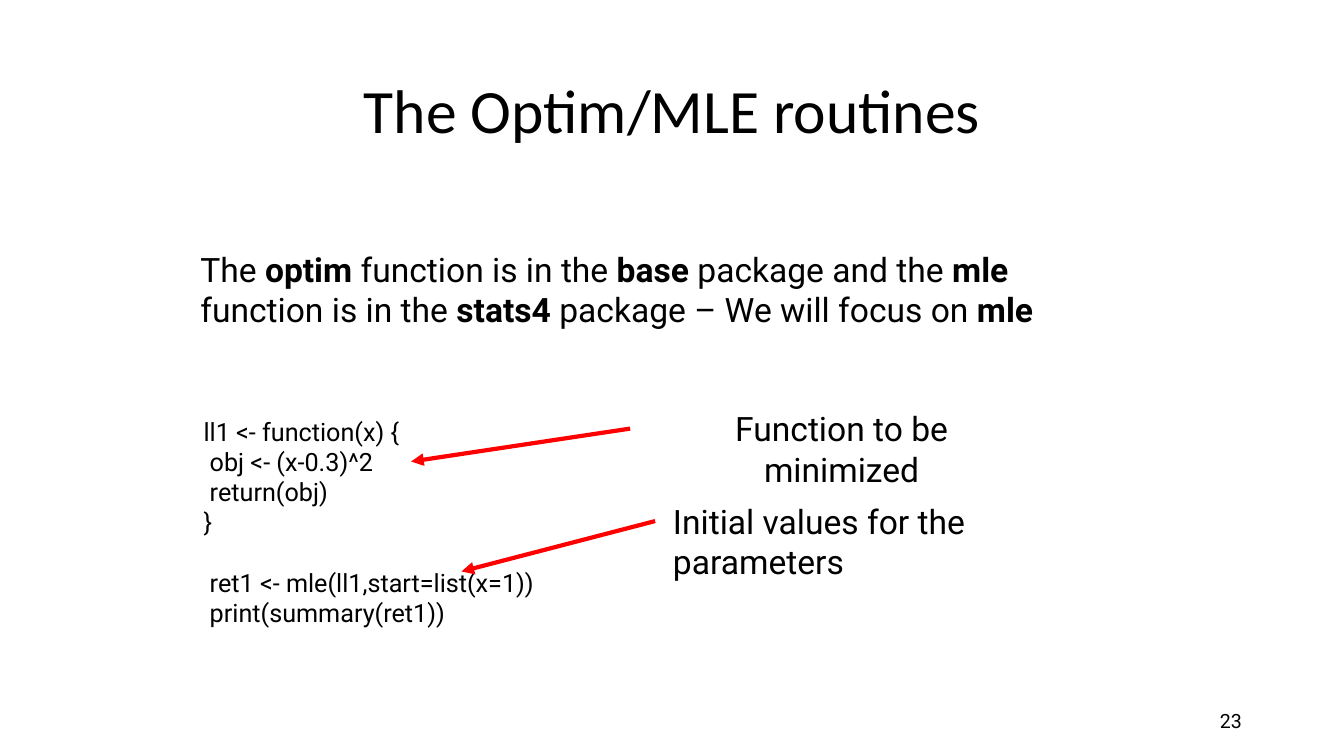
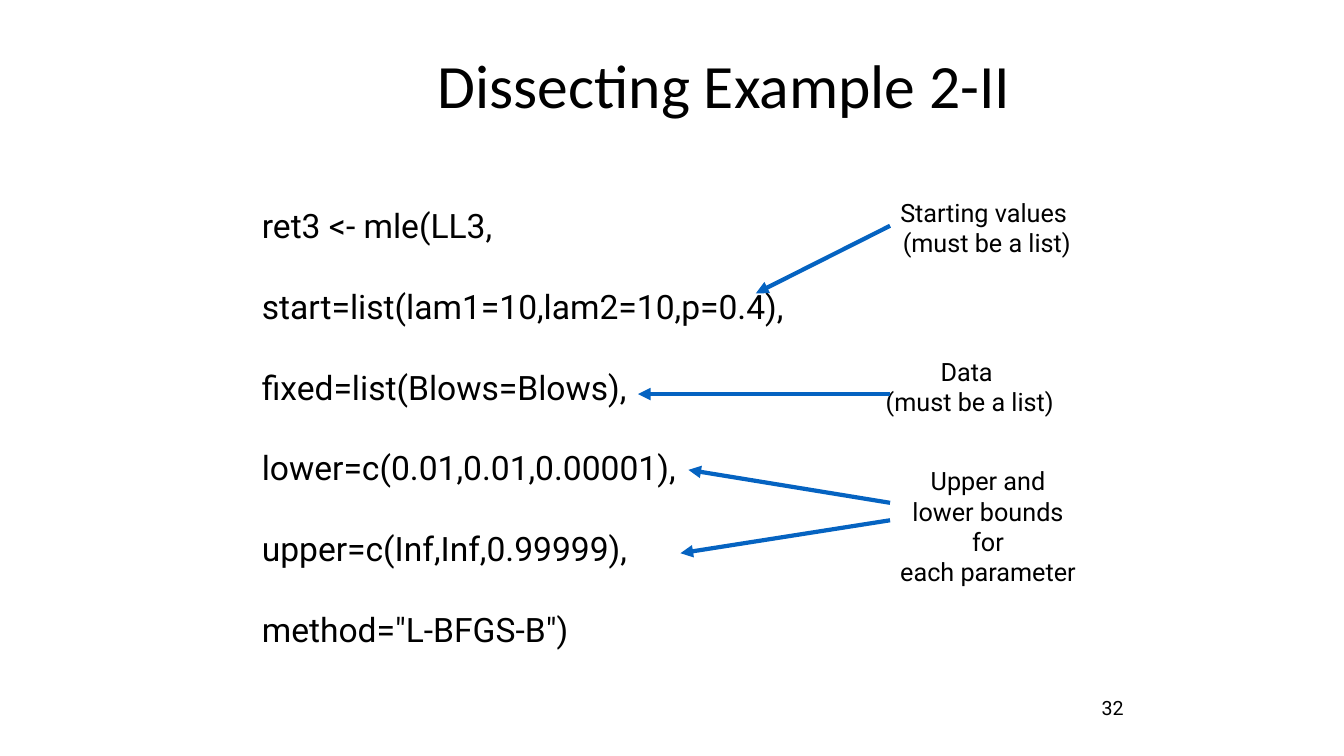
from lxml.etree import SubElement
from pptx import Presentation
from pptx.dml.color import RGBColor
from pptx.enum.shapes import MSO_CONNECTOR
from pptx.enum.text import MSO_ANCHOR, PP_ALIGN
from pptx.oxml.ns import qn
from pptx.util import Cm, Pt


def color(code):
    """Turn a hex string into a colour."""
    return RGBColor.from_string(code)


class Deck:
    """Holds the shared style and the current slide."""

    HEAD, BODY, INK = "Calibri", "Roboto", "000000"
    LEFT, MID, RIGHT = PP_ALIGN.LEFT, PP_ALIGN.CENTER, PP_ALIGN.RIGHT

    def __init__(self):
        """Start an empty wide deck."""
        self.prs = Presentation()
        self.prs.slide_width, self.prs.slide_height = Cm(33.87), Cm(19.05)

    def start(self, title, place, number, corner):
        """Add a slide with its title and number."""
        self.slide = self.prs.slides.add_slide(self.prs.slide_layouts[6])
        self.text(place, [title], 44, self.MID, self.HEAD, MSO_ANCHOR.MIDDLE, spacing=0.9)
        self.text(corner, [number], 14, self.RIGHT, anchor=MSO_ANCHOR.MIDDLE)

    def text(self, place, lines, size, align=LEFT, font=BODY,
             anchor=MSO_ANCHOR.TOP, spacing=None, gaps=()):
        """Add lines of text; odd runs of a tuple are bold, gaps follow the listed lines."""
        box = self.slide.shapes.add_textbox(*map(Cm, place))
        frame = box.text_frame
        frame.word_wrap, frame.vertical_anchor = True, anchor
        for row, line in enumerate(lines):
            para = frame.add_paragraph() if row else frame.paragraphs[0]
            para.alignment = align
            para.line_spacing = spacing
            if row in gaps:
                para.space_after = Pt(size * 1.2)
            parts = (line,) if isinstance(line, str) else line
            for index, part in enumerate(parts):
                run = para.add_run()
                run.text = part
                run.font.name, run.font.size = font, Pt(size)
                run.font.bold = index % 2 == 1
                run.font.color.rgb = color(self.INK)

    def arrow(self, start, end, tint):
        """Draw an arrow from start to end."""
        line = self.slide.shapes.add_connector(
            MSO_CONNECTOR.STRAIGHT, *map(Cm, start + end))
        line.line.color.rgb, line.line.width = color(tint), Pt(3)
        props = line._element.spPr
        SubElement(props.find(qn("a:ln")), qn("a:tailEnd"), type="triangle")
        SubElement(props, qn("a:effectLst"))


def routines(deck):
    """Build the slide on the routines."""
    deck.start("The Optim/MLE routines", (2.34, 1.02, 29.21, 3.68),
               "23", (23.93, 17.65, 7.62, 1.02))
    deck.text((4.8, 6.15, 22.35, 2.31), [
        ("The ", "optim", " function is in the ", "base", " package and the ", "mle"),
        ("function is in the ", "stats4", " package – We will focus on ", "mle"),
    ], 24)
    deck.text((4.88, 10.36, 12.7, 5.59), [
        "ll1 <- function(x) {",
        " obj <- (x-0.3)^2",
        " return(obj)",
        "}",
        " ret1 <- mle(ll1,start=list(x=1))",
        " print(summary(ret1))",
    ], 18, gaps=[3])
    deck.text((16.66, 10.16, 9.1, 2.31), ["Function to be minimized"], 24, deck.MID)
    deck.text((16.71, 12.5, 8.31, 2.31), ["Initial values for the", "parameters"], 24)
    deck.arrow((16.51, 13.13), (11.63, 14.4), "FF0000")
    deck.arrow((15.88, 10.8), (10.36, 11.63), "FF0000")


def example(deck):
    """Build the slide on the example."""
    deck.start("Dissecting Example 2-II", (7.44, 0.64, 21.64, 3.18),
               "32", (23.29, 17.2, 5.28, 1.27))
    deck.text((6.35, 5.05, 14.4, 11.53), [
        "ret3 <- mle(LL3,",
        "start=list(lam1=10,lam2=10,p=0.4),",
        "fixed=list(Blows=Blows),",
        "lower=c(0.01,0.01,0.00001),",
        "upper=c(Inf,Inf,0.99999),",
        'method="L-BFGS-B")',
    ], 24, gaps=range(5))
    notes = [
        ((21.93, 4.85, 5.88, 1.78), ["Starting values ", "(must be a list)"]),
        ((21.55, 8.86, 5.78, 1.78), ["Data ", "(must be a list)"]),
        ((22.36, 11.61, 5.08, 3.3), ["Upper and", "lower bounds for", "each parameter"]),
    ]
    for place, lines in notes:
        deck.text(place, lines, 18, deck.MID)
    tips = [(5.69, (19.05, 7.39)), (9.93, (16.08, 9.93)),
            (12.67, (17.35, 11.84)), (13.11, (17.15, 13.94))]
    for top, tip in tips:
        deck.arrow((22.43, top), tip, "0563C1")


def main():
    """Build and save the deck."""
    deck = Deck()
    routines(deck)
    example(deck)
    deck.prs.save("out.pptx")


if __name__ == "__main__":
    main()
